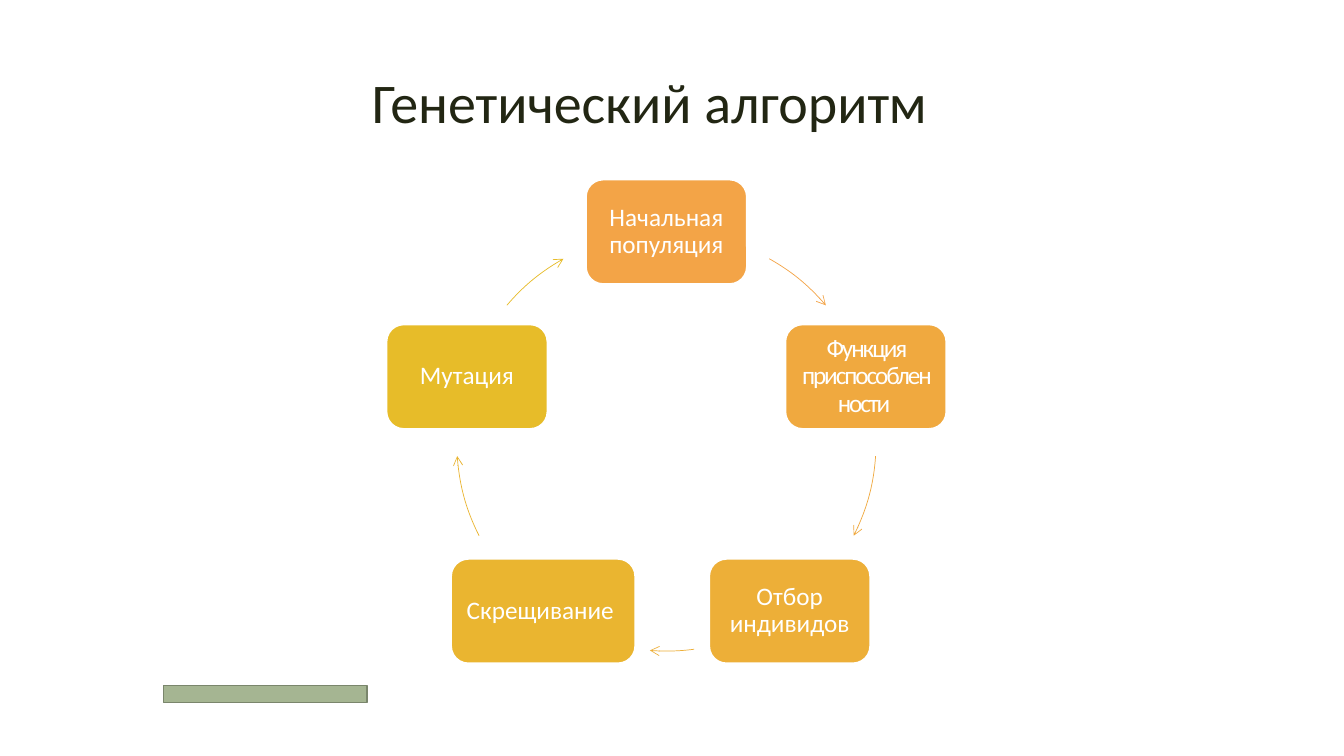
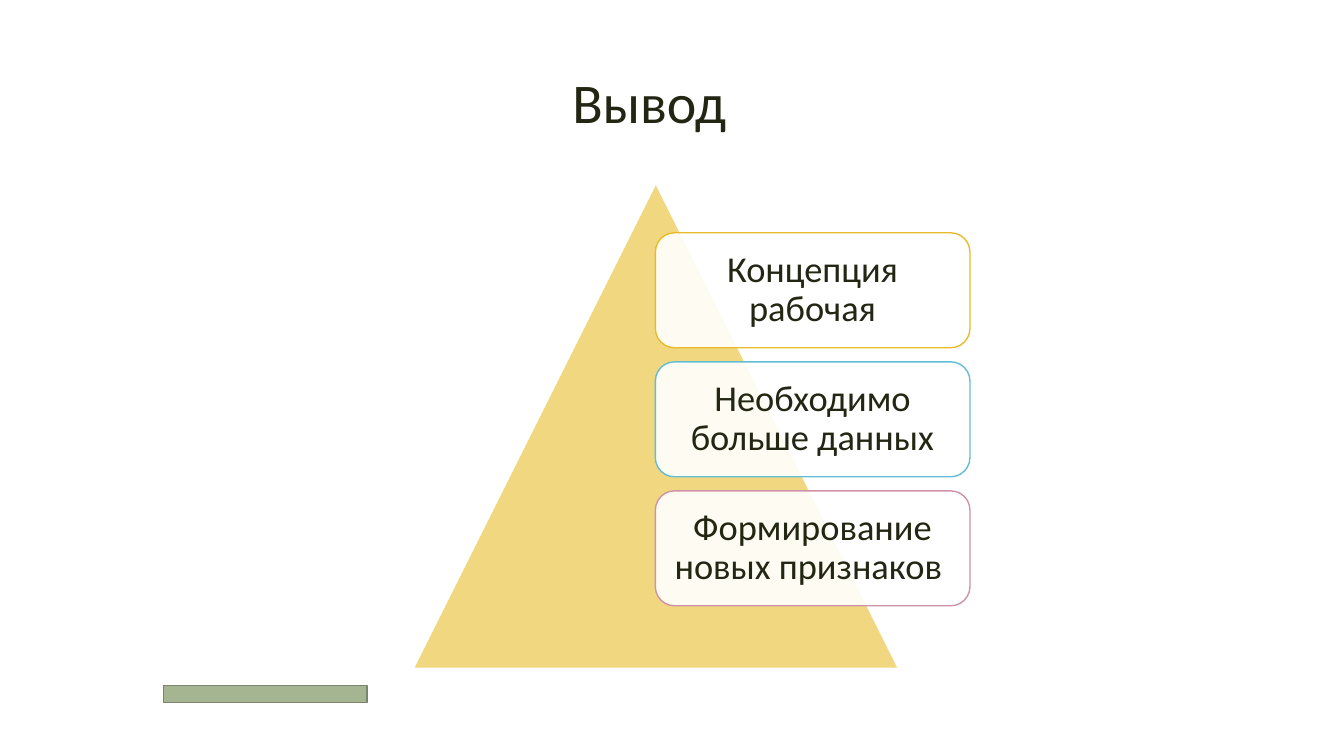
import math

from lxml import etree
from pptx import Presentation
from pptx import util as u
from pptx.dml.color import RGBColor
from pptx.enum import shapes, text
from pptx.oxml.ns import qn

PX = 9144
FONT = "Calibri"
COLORS = {
    "ink": "222613",
    "white": "FFFFFF",
    "band": "A5B592",
    "band_line": "7A866C",
    "pyramid": "F1D77F",
    "gold": "E7BC29",
    "blue": "62BED7",
    "pink": "D092A7",
    "step1": "F3A447",
    "step2": "F0A93F",
    "step3": "EDAF38",
    "step4": "EAB530",
}
CENTER_X, CENTER_Y, RADIUS = 661, 438, 208
STEP_HEIGHT = 104
STEPS = [
    ("Начальная популяция", "step1", 160, 0, (299.4, 319.5)),
    ("Функция приспособленности ", "step2", 160, -150, (4, 26.7)),
    ("Отбор индивидов", "step3", 160, 0, (82.4, 94.5)),
    ("Скрещивание ", "step4", 183, 0, (153.3, 176)),
    ("Мутация", "gold", 160, 0, (220.5, 240.6)),
]
CONCLUSIONS = [
    ("Концепция рабочая", "gold"),
    ("Необходимо больше данных", "blue"),
    ("Формирование новых признаков ", "pink"),
]


def px(value):
    return u.Emu(round(value * PX))


def color(name):
    return RGBColor.from_string(COLORS[name])


def apply(target, values):
    for name, value in values.items():
        setattr(target, name, value)


def write(shape, words, size, ink, line_spacing, inset=None, spacing=0):
    frame = shape.text_frame
    settings = {
        "word_wrap": True,
        "auto_size": text.MSO_AUTO_SIZE.NONE,
        "vertical_anchor": text.MSO_ANCHOR.MIDDLE,
    }
    if inset is not None:
        sides = ("left", "top", "right", "bottom")
        settings.update({f"margin_{side}": px(inset) for side in sides})
    apply(frame, settings)
    para = frame.paragraphs[0]
    apply(para, {"alignment": text.PP_ALIGN.CENTER, "line_spacing": line_spacing})
    span = para.add_run()
    span.text = words
    apply(span.font, {"name": FONT, "size": u.Pt(size)})
    span.font.color.rgb = color(ink)
    if spacing:
        span.font._element.set("spc", str(spacing))


def add_shape(page, kind, left, top, width, height, fill, line, weight=1):
    shape = page.shapes.add_shape(kind, px(left), px(top), px(width), px(height))
    shape.shadow.inherit = False
    if fill:
        shape.fill.solid()
        shape.fill.fore_color.rgb = color(fill)
    else:
        shape.fill.background()
    shape.line.color.rgb = color(line)
    shape.line.width = u.Pt(weight)
    return shape


def set_opacity(shape, percent):
    fill = shape._element.spPr.find(qn("a:solidFill"))
    etree.SubElement(fill[0], qn("a:alpha"), val=str(percent * 1000))


def add_arc_arrow(page, angles, line):
    arc = add_shape(page, shapes.MSO_SHAPE.ARC, CENTER_X - RADIUS, CENTER_Y - RADIUS,
                    2 * RADIUS, 2 * RADIUS, None, line, 0.5)
    for index, degrees in enumerate(angles):
        arc.adjustments[index] = degrees * 0.6
    etree.SubElement(arc.line._get_or_add_ln(), qn("a:tailEnd"), type="arrow")


def add_page(deck, heading):
    page = deck.slides.add_slide(deck.slide_layouts[5])
    title = page.shapes.title
    apply(title, {"left": px(69), "top": px(33), "width": px(1150), "height": px(145)})
    write(title, heading, 40, "ink", u.Pt(40))
    add_shape(page, shapes.MSO_SHAPE.RECTANGLE, 162, 680, 202, 17, "band", "band_line")
    return page


def add_cycle(page):
    for index, (words, fill, width, spacing, angles) in enumerate(STEPS):
        turn = math.radians(360 / len(STEPS) * index - 90)
        left = CENTER_X + RADIUS * math.cos(turn) - width / 2
        top = CENTER_Y + RADIUS * math.sin(turn) - STEP_HEIGHT / 2
        box = add_shape(page, shapes.MSO_SHAPE.ROUNDED_RECTANGLE, left, top,
                        width, STEP_HEIGHT, fill, "white", 1.5)
        write(box, words, 18, "white", 0.9, 7, spacing)
        add_arc_arrow(page, angles, fill)


def add_pyramid(page):
    add_shape(page, shapes.MSO_SHAPE.ISOSCELES_TRIANGLE, 410, 182, 481, 481,
              "pyramid", "white")
    for index, (words, line) in enumerate(CONCLUSIONS):
        box = add_shape(page, shapes.MSO_SHAPE.ROUNDED_RECTANGLE, 650, 231 + 128 * index,
                        312, 114, "white", line)
        set_opacity(box, 90)
        write(box, words, 26, "ink", 0.9, 11)


def main():
    deck = Presentation()
    apply(deck, {"slide_width": px(1333), "slide_height": px(750)})
    add_cycle(add_page(deck, "Генетический алгоритм"))
    add_pyramid(add_page(deck, "Вывод"))
    deck.save("out.pptx")


if __name__ == "__main__":
    main()
